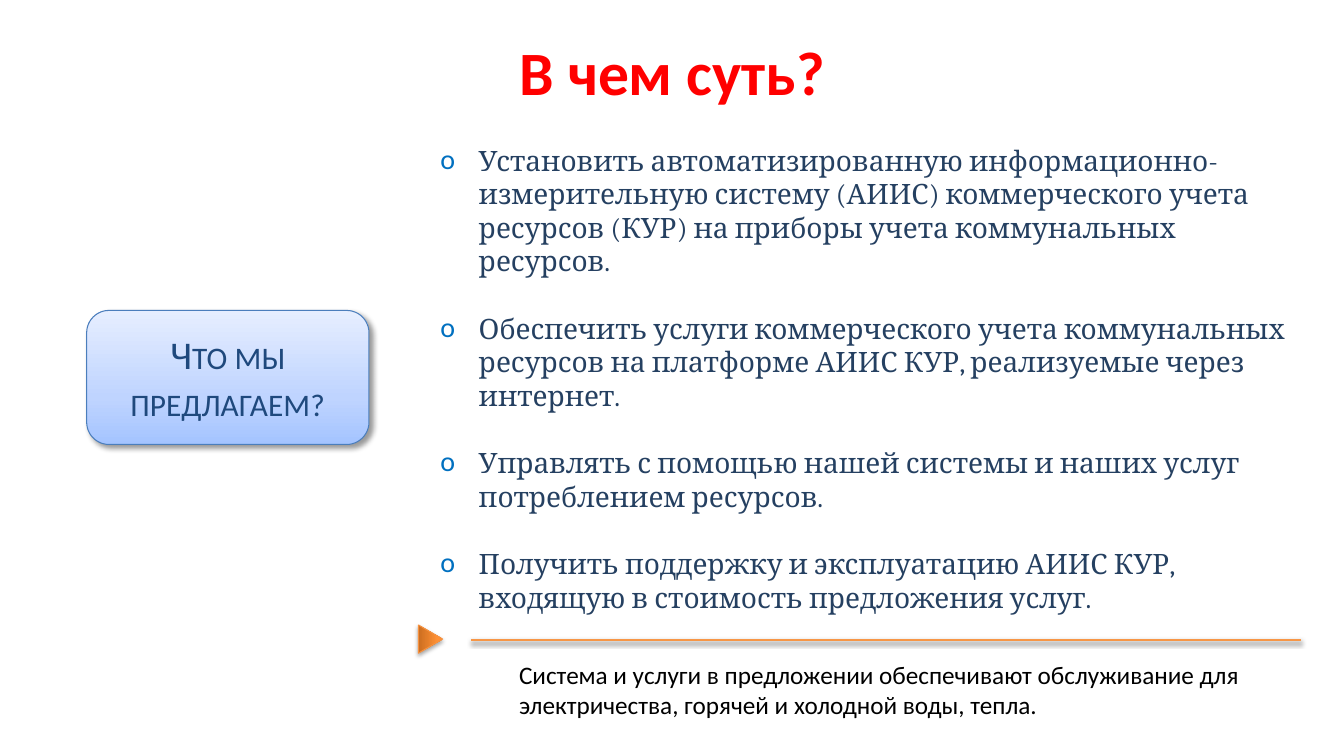
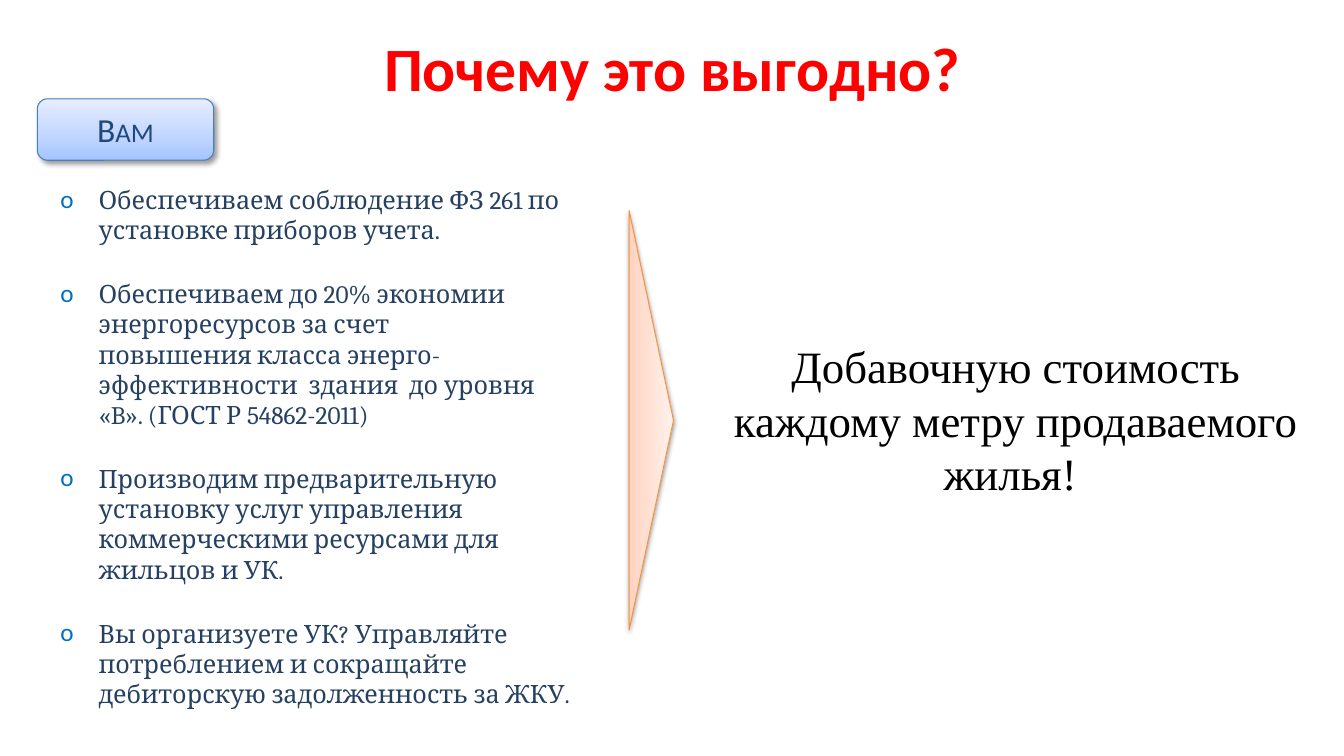
"""Build two slides that present a resource metering offer."""
from dataclasses import dataclass, field
from typing import Any

import lxml.etree
import pptx
import pptx.dml.color
import pptx.enum.shapes
import pptx.enum.text
import pptx.oxml
import pptx.oxml.ns
import pptx.util

Inches = pptx.util.Inches
Pt = pptx.util.Pt
Align = pptx.enum.text.PP_ALIGN
Anchor = pptx.enum.text.MSO_ANCHOR
AutoSize = pptx.enum.text.MSO_AUTO_SIZE
Preset = pptx.enum.shapes.MSO_SHAPE
Box = tuple[float, float, float, float]

COLOURS = {
    "title": "FF0000",
    "body": "254061",
    "text": "000000",
    "bullet": "0070C0",
    "label": "1F497D",
    "label_line": "4B7EBC",
    "arrow_line": "F69240",
    "rule": "F79646",
    "shadow": "000000",
}
GRADIENTS = {
    "label": {0: "A4C4FF", 35: "BFD4FF", 100: "E6EEFF"},
    "marker": {0: "CC6E20", 80: "FF9034", 100: "FF9136"},
    "arrow": {0: "FFD2BD", 35: "FFDED0", 100: "FFF2ED"},
}
CENTRED = {"alignment": Align.CENTER}
SPACED = {"space_before": Pt(6), "space_after": Pt(18)}
HANGING_INDENT = 0.38


@dataclass(frozen=True)
class Shadow:
    """Hold shadow opacity in percent, blur and distance in points, and angle."""
    opacity: int
    blur: float
    distance: float
    angle: int


@dataclass(frozen=True)
class TextStyle:
    """Hold the character and paragraph format of a text."""
    size: int
    font: str
    colour: str
    bold: bool = False
    small_caps: bool = False
    bulleted: bool = False
    paragraph_format: dict[str, Any] = field(default_factory=dict)


@dataclass(frozen=True)
class TextBlock:
    """Hold a text box with its paragraphs."""
    box: Box
    style: TextStyle
    paragraphs: tuple[str, ...]


@dataclass(frozen=True)
class Panel:
    """Hold a gradient shape, with a text if it has one."""
    box: Box
    preset: Any
    gradient: str
    line: str
    shadow: Shadow
    rotation: int = 0
    text: str = ""
    style: TextStyle | None = None


@dataclass(frozen=True)
class Page:
    """Hold the content of one slide."""
    title: str
    title_top: float
    blocks: tuple[TextBlock, ...]
    panels: tuple[Panel, ...]
    rule: Box | None = None


LABEL_SHADOW = Shadow(40, 4, 3, 45)
MARKER_SHADOW = Shadow(35, 3.1, 1.8, 90)
ORANGE_SHADOW = Shadow(38, 3.1, 1.6, 90)
TITLE_STYLE = TextStyle(44, "Calibri", "title", bold=True, paragraph_format=CENTRED)


def bullet_style(size: int) -> TextStyle:
    """Return the style of a bulleted list."""
    return TextStyle(size, "Cambria", "body", bulleted=True, paragraph_format=SPACED)


def label(box: Box, text: str, size: int) -> Panel:
    """Return a blue label with small capitals."""
    style = TextStyle(size, "Calibri", "label", small_caps=True, paragraph_format=CENTRED)
    return Panel(box, Preset.FLOWCHART_ALTERNATE_PROCESS, "label", "label_line",
                 LABEL_SHADOW, text=text, style=style)


PAGES = (
    Page(
        "В чем суть?", 0.24,
        (
            TextBlock((4.27, 1.37, 8.63, 4.48), bullet_style(20), (
                "Установить автоматизированную информационно-измерительную систему "
                "(АИИС) коммерческого учета ресурсов (КУР) на приборы учета "
                "коммунальных ресурсов.",
                "Обеспечить услуги коммерческого учета коммунальных ресурсов на "
                "платформе АИИС КУР, реализуемые через интернет.",
                "Управлять с помощью нашей системы и наших услуг потреблением ресурсов.",
                "Получить поддержку и эксплуатацию АИИС КУР, входящую в стоимость "
                "предложения услуг.",
            )),
            TextBlock((5.05, 6.49, 7.86, 0.71),
                      TextStyle(18, "Calibri", "text", paragraph_format=SPACED), (
                "Система и услуги в предложении обеспечивают обслуживание для "
                "электричества, горячей и холодной воды, тепла.",
            )),
        ),
        (
            label((0.86, 3.08, 2.8, 1.33), "Что мы предлагаем?", 28),
            Panel((4.13, 6.22, 0.28, 0.24), Preset.FLOWCHART_EXTRACT, "marker",
                  "arrow_line", MARKER_SHADOW, rotation=90),
        ),
        rule=(4.67, 6.35, 12.9, 6.35),
    ),
    Page(
        "Почему это выгодно?", 0.2,
        (
            TextBlock((0.5, 1.78, 5.33, 5.35), bullet_style(18), (
                "Обеспечиваем соблюдение ФЗ 261 по установке приборов учета.",
                "Обеспечиваем до 20% экономии энергоресурсов за счет "
                "повышения\u00a0класса\u00a0энерго- эффективности\u00a0 здания  до уровня "
                "«B». (ГОСТ Р 54862-2011)",
                "Производим предварительную установку услуг управления "
                "коммерческими ресурсами для жильцов и УК.",
                "Вы организуете УК? Управляйте потреблением и сокращайте "
                "дебиторскую задолженность за ЖКУ.",
            )),
            TextBlock((6.95, 3.31, 6.25, 1.72),
                      TextStyle(32, "Times New Roman", "text", paragraph_format=CENTRED),
                      ("Добавочную стоимость каждому метру продаваемого жилья! ",)),
        ),
        (
            label((0.37, 0.98, 1.75, 0.61), "Вам", 24),
            Panel((4.38, 3.95, 4.16, 0.44), Preset.ISOSCELES_TRIANGLE, "arrow",
                  "arrow_line", ORANGE_SHADOW, rotation=90),
        ),
    ),
)


def set_attributes(target: Any, values: dict[str, Any]) -> None:
    """Set each named attribute of the target."""
    for name, value in values.items():
        setattr(target, name, value)


def colour(name: str) -> pptx.dml.color.RGBColor:
    """Return the named colour."""
    return pptx.dml.color.RGBColor.from_string(COLOURS[name])


def lengths(box: Box) -> list[int]:
    """Return the numbers of a box as lengths."""
    return [Inches(number) for number in box]


def add_element(parent: Any, tag: str, **attributes: Any) -> Any:
    """Append a drawing element and return it."""
    element = lxml.etree.SubElement(parent, pptx.oxml.ns.qn(f"a:{tag}"))
    for name, value in attributes.items():
        element.set(name, str(value))
    return element


def add_bullet(paragraph: Any) -> None:
    """Give the paragraph a hanging round bullet."""
    properties = paragraph._p.get_or_add_pPr()
    indent = Inches(HANGING_INDENT)
    properties.set("marL", str(indent))
    properties.set("indent", str(-indent))
    add_element(add_element(properties, "buClr"), "srgbClr", val=COLOURS["bullet"])
    add_element(properties, "buFont", typeface="Calibri")
    add_element(properties, "buChar", char="o")


def write_text(frame: Any, texts: tuple[str, ...], style: TextStyle,
               frame_format: dict[str, Any]) -> None:
    """Write styled paragraphs into a text frame."""
    set_attributes(frame, {"word_wrap": True, **frame_format})
    for index, text in enumerate(texts):
        paragraph = frame.add_paragraph() if index else frame.paragraphs[0]
        set_attributes(paragraph, style.paragraph_format)
        if style.bulleted:
            add_bullet(paragraph)
        run = paragraph.add_run()
        run.text = text
        set_attributes(run.font, {"size": Pt(style.size), "name": style.font,
                                  "bold": style.bold})
        run.font.color.rgb = colour(style.colour)
        if style.small_caps:
            run._r.get_or_add_rPr().set("cap", "small")


def set_line(line: Any, name: str, width: float) -> None:
    """Set the colour and width of a line."""
    line.color.rgb = colour(name)
    line.width = Pt(width)


def set_gradient(shape: Any, stops: dict[int, str]) -> None:
    """Fill the shape with a gradient that rises from its base."""
    shape.fill.gradient()
    gradient = shape._element.spPr.find(pptx.oxml.ns.qn("a:gradFill"))
    for child in list(gradient):
        gradient.remove(child)
    gradient.set("rotWithShape", "1")
    stop_list = add_element(gradient, "gsLst")
    for position, value in stops.items():
        stop = add_element(stop_list, "gs", pos=position * 1000)
        add_element(stop, "srgbClr", val=value)
    add_element(gradient, "lin", ang=270 * 60000, scaled=0)


def set_shadow(shape: Any, shadow: Shadow) -> None:
    """Give the shape an outer shadow."""
    effects = add_element(shape._element.spPr, "effectLst")
    outer = add_element(effects, "outerShdw", blurRad=Pt(shadow.blur),
                        dist=Pt(shadow.distance), dir=shadow.angle * 60000,
                        rotWithShape=0)
    tint = add_element(outer, "srgbClr", val=COLOURS["shadow"])
    add_element(tint, "alpha", val=shadow.opacity * 1000)


def add_panel(slide: Any, panel: Panel) -> None:
    """Draw a gradient shape."""
    shape = slide.shapes.add_shape(panel.preset, *lengths(panel.box))
    shape.rotation = panel.rotation
    set_gradient(shape, GRADIENTS[panel.gradient])
    set_line(shape.line, panel.line, 0.75)
    set_shadow(shape, panel.shadow)
    if panel.style:
        write_text(shape.text_frame, (panel.text,), panel.style,
                   {"vertical_anchor": Anchor.MIDDLE})


def add_rule(slide: Any, ends: Box) -> None:
    """Draw an orange rule between two points."""
    connector = slide.shapes.add_connector(
        pptx.enum.shapes.MSO_CONNECTOR.STRAIGHT, *lengths(ends))
    set_line(connector.line, "rule", 2)
    set_shadow(connector, ORANGE_SHADOW)


def add_page(presentation: Any, page: Page) -> None:
    """Add a slide with its title, texts and shapes."""
    slide = presentation.slides.add_slide(presentation.slide_layouts[5])
    title = slide.shapes.title
    set_attributes(title, {"left": Inches(1.67), "top": Inches(page.title_top),
                           "width": Inches(10), "height": Inches(0.93)})
    write_text(title.text_frame, (page.title,), TITLE_STYLE,
               {"vertical_anchor": Anchor.MIDDLE, "auto_size": AutoSize.NONE})
    for block in page.blocks:
        text_box = slide.shapes.add_textbox(*lengths(block.box))
        write_text(text_box.text_frame, block.paragraphs, block.style,
                   {"auto_size": AutoSize.SHAPE_TO_FIT_TEXT})
    for panel in page.panels:
        add_panel(slide, panel)
    if page.rule:
        add_rule(slide, page.rule)


def main() -> None:
    """Build and save the presentation."""
    presentation = pptx.Presentation()
    set_attributes(presentation, {"slide_width": Inches(13.33),
                                  "slide_height": Inches(7.5)})
    for page in PAGES:
        add_page(presentation, page)
    presentation.save("out.pptx")


main()
